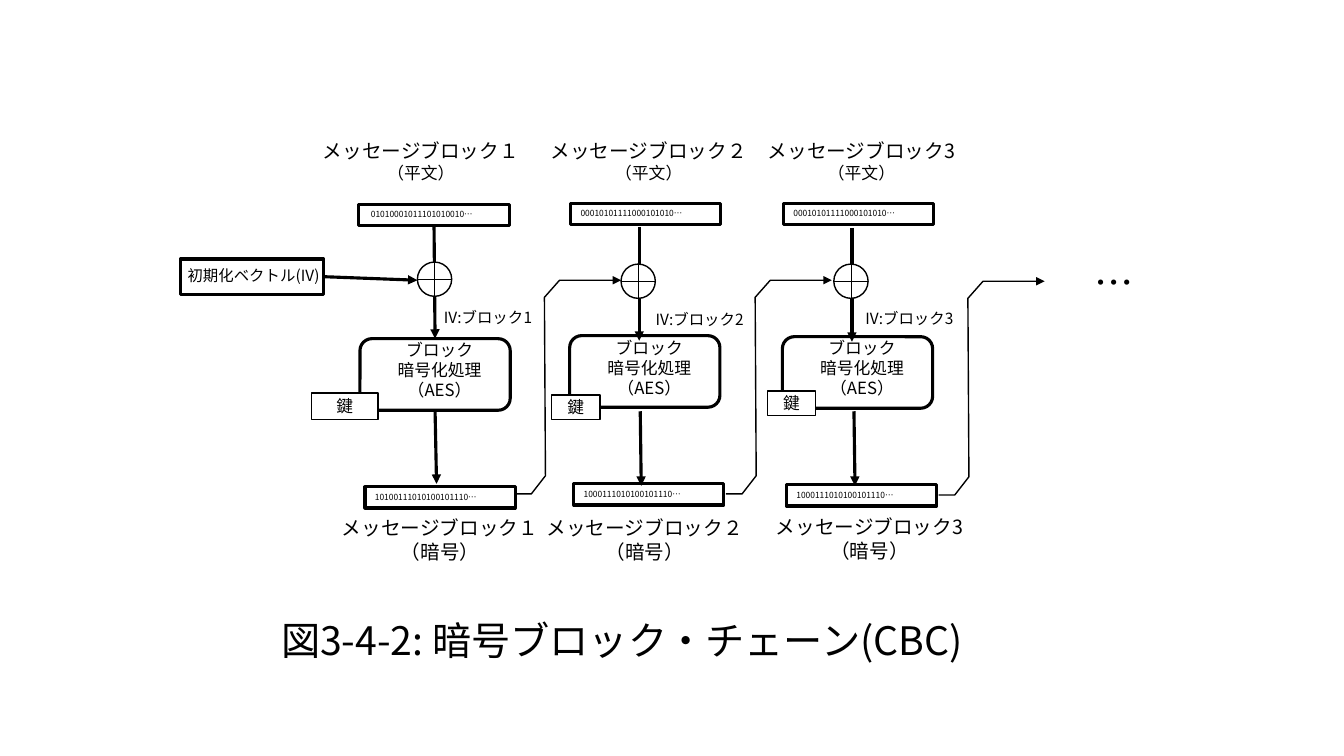
import pptx
import pptx.util
import pptx.dml.color
import pptx.enum.shapes
import pptx.enum.text
import pptx.oxml.ns
import lxml.etree
from dataclasses import dataclass

Inches = pptx.util.Inches
Pt = pptx.util.Pt
Kind = pptx.enum.shapes.MSO_SHAPE
Align = pptx.enum.text.PP_ALIGN
Anchor = pptx.enum.text.MSO_ANCHOR
qn = pptx.oxml.ns.qn


@dataclass(frozen=True)
class Theme:
    font: str = "Noto Sans CJK JP"
    ink: str = "000000"
    paper: str = "FFFFFF"
    title: int = 28
    head: int = 14
    body: int = 12
    label: int = 11
    bits: int = 6
    thick: float = 2.25
    thin: float = 1
    hair: float = 0.5


@dataclass(frozen=True)
class Stage:
    """Places and wording of one column of the chain."""
    mark: str
    digit: str
    head: tuple
    plain: tuple
    shift: float
    plain_bits: str
    feed: tuple
    ring: tuple
    label: tuple
    block: tuple
    note: float
    key: tuple
    out: tuple
    code: tuple
    code_bits: str
    foot: tuple
    link: tuple


def color(value):
    return pptx.dml.color.RGBColor.from_string(value)


def apply(target, values):
    for name, value in values.items():
        setattr(target, name, value)


class Board:
    def __init__(self, slide, theme):
        self.shapes = slide.shapes
        self.theme = theme

    def letter(self, frame, lines, align, **more):
        """Fill a frame with (text, size) lines."""
        apply(frame, more)
        for i, (text, size) in enumerate(lines):
            para = frame.paragraphs[0] if i == 0 else frame.add_paragraph()
            para.alignment = align
            run = para.add_run()
            run.text = text
            run.font.color.rgb = color(self.theme.ink)
            apply(run.font, {"size": Pt(size), "name": self.theme.font})
            props = run._r.find(qn("a:rPr"))
            east = lxml.etree.SubElement(props, qn("a:ea"))
            east.set("typeface", self.theme.font)

    def text(self, box, lines, align=Align.CENTER, wrap=False, **more):
        item = self.shapes.add_textbox(*map(Inches, box))
        self.letter(item.text_frame, lines, align, word_wrap=wrap, **more)
        return item

    def stroke(self, item, width, arrow=False):
        item.line.color.rgb = color(self.theme.ink)
        item.line.width = Pt(width)
        if arrow:
            line = item.element.spPr.find(qn("a:ln"))
            lxml.etree.SubElement(line, qn("a:tailEnd")).set("type", "triangle")

    def shape(self, kind, box, width, fill=False):
        item = self.shapes.add_shape(kind, *map(Inches, box))
        item.shadow.inherit = False
        if fill:
            item.fill.solid()
            item.fill.fore_color.rgb = color(self.theme.paper)
        else:
            item.fill.background()
        self.stroke(item, width)
        return item

    def line(self, start, end, width, arrow=False):
        item = self.shapes.add_connector(
            pptx.enum.shapes.MSO_CONNECTOR.STRAIGHT, *map(Inches, start + end))
        self.stroke(item, width, arrow)
        lxml.etree.SubElement(item.element.spPr, qn("a:effectLst"))
        return item

    def bits(self, spot, text, shift=0):
        x, y = spot
        bar = self.shape(Kind.RECTANGLE, (x, y, 1.49, 0.21), self.theme.thick)
        self.text((x + shift, y, 2.29, 0.2), [(text, self.theme.bits)],
                  Align.LEFT, True)
        return bar

    def ring(self, spot):
        """Circle with a cross, the sign for exclusive or."""
        x, y = spot
        size, half = 0.34, 0.17
        self.shape(Kind.OVAL, (x, y, size, size), self.theme.thin, True)
        self.line((x, y + half), (x + size, y + half), self.theme.hair)
        self.line((x + half, y), (x + half, y + size), self.theme.hair)

    def key(self, box):
        item = self.shape(Kind.RECTANGLE, box, self.theme.thin, True)
        self.letter(item.text_frame, [("鍵", self.theme.body)], Align.CENTER,
                    vertical_anchor=Anchor.MIDDLE)

    def link(self, spot):
        """Bent arrow that carries a cipher block to the next stage."""
        steps = [(0, 0), (0.16, 0), (0.3, -0.18), (0.29, -1.95),
                 (0.44, -2.12), (1.05, -2.12)]
        points = [(Inches(spot[0] + x), Inches(spot[1] + y)) for x, y in steps]
        form = self.shapes.build_freeform(*points[0])
        form.add_line_segments(points[1:], close=False)
        item = form.convert_to_shape()
        item.shadow.inherit = False
        item.fill.background()
        self.stroke(item, self.theme.thin, True)

    def stage(self, part):
        look = self.theme
        name = "メッセージブロック" + part.mark
        self.text(part.head + (2.17, 0.54),
                  [(name, look.head), ("（平文）", look.body)])
        plain = self.bits(part.plain, part.plain_bits, part.shift)
        block = self.shape(Kind.ROUNDED_RECTANGLE, part.block + (1.49, 0.71),
                           look.thick)
        self.text((part.block[0] + 0.27, part.note, 1.04, 0.71),
                  [(row, look.body) for row in ("ブロック", "暗号化処理", "（AES）")])
        x, y = part.feed
        feed = self.line((x, y), (x, y + 1.13), look.thick, True)
        self.ring(part.ring)
        self.text(part.label + (1.38, 0.29),
                  [("IV:ブロック" + part.digit, look.label)], wrap=True)
        x, y = part.out
        out = self.line((x, y), (x + 0.01, y + 0.74), look.thick, True)
        middle = block.left + block.width // 2
        if abs(feed.begin_x - middle) < Inches(0.02):
            feed.begin_connect(plain, 2)
            feed.end_connect(block, 0)
            out.begin_connect(block, 2)
        self.bits(part.code, part.code_bits)
        self.text(part.foot + (2.17, 0.57),
                  [(name, look.head), ("（暗号）", look.head)])
        self.link(part.link)
        self.key(part.key)


STAGES = [
    Stage(mark="１", digit="1", head=(3.09, 1.33), plain=(3.56, 2.03), shift=0.02,
          plain_bits="01010001011101010010…", feed=(4.32, 2.24),
          ring=(4.14, 2.6), label=(4.15, 3.01), block=(3.57, 3.36), note=3.32,
          key=(3.09, 3.9, 0.66, 0.26), out=(4.32, 4.06), code=(3.62, 4.83),
          code_bits="10100111010100101110…", foot=(3.28, 5.07), link=(5.11, 4.9)),
    Stage(mark="２", digit="2", head=(5.35, 1.33), plain=(5.66, 2.02), shift=0,
          plain_bits="00010101111000101010…", feed=(6.34, 2.25),
          ring=(6.16, 2.62), label=(6.25, 3.03), block=(5.65, 3.33), note=3.3,
          key=(5.47, 3.92, 0.48, 0.24), out=(6.35, 4.08), code=(5.69, 4.8),
          code_bits="1000111010100101110…", foot=(5.31, 5.07), link=(7.2, 4.9)),
    Stage(mark="3", digit="3", head=(7.46, 1.33), plain=(7.77, 2.02), shift=0,
          plain_bits="00010101111000101010…", feed=(8.45, 2.26),
          ring=(8.27, 2.62), label=(8.33, 3.02), block=(7.76, 3.34), note=3.3,
          key=(7.61, 3.88, 0.48, 0.24), out=(8.47, 4.08), code=(7.8, 4.81),
          code_bits="1000111010100101110…", foot=(7.54, 5.06), link=(9.31, 4.91)),
]


def main():
    deck = pptx.Presentation()
    apply(deck, {"slide_width": Inches(13.33), "slide_height": Inches(7.5)})
    look = Theme()
    board = Board(deck.slides.add_slide(deck.slide_layouts[6]), look)

    title = board.text((2.69, 5.65, 11.5, 1.45),
                       [("図3-4-2: 暗号ブロック・チェーン(CBC)", look.title)],
                       Align.LEFT, True, vertical_anchor=Anchor.MIDDLE)
    title.text_frame.paragraphs[0].line_spacing = 0.9

    start = board.shape(Kind.RECTANGLE, (1.79, 2.57, 1.42, 0.35), look.thick)
    board.text((1.68, 2.59, 1.67, 0.29), [("初期化ベクトル(IV)", look.label)],
               wrap=True)
    arrow = board.line((3.22, 2.78), (4.14, 2.78), look.thick, True)
    arrow.begin_connect(start, 3)

    for part in STAGES:
        board.stage(part)
    board.text((10.76, 2.51, 0.59, 0.57), [("…", look.title)], Align.LEFT)
    deck.save("out.pptx")


if __name__ == "__main__":
    main()
